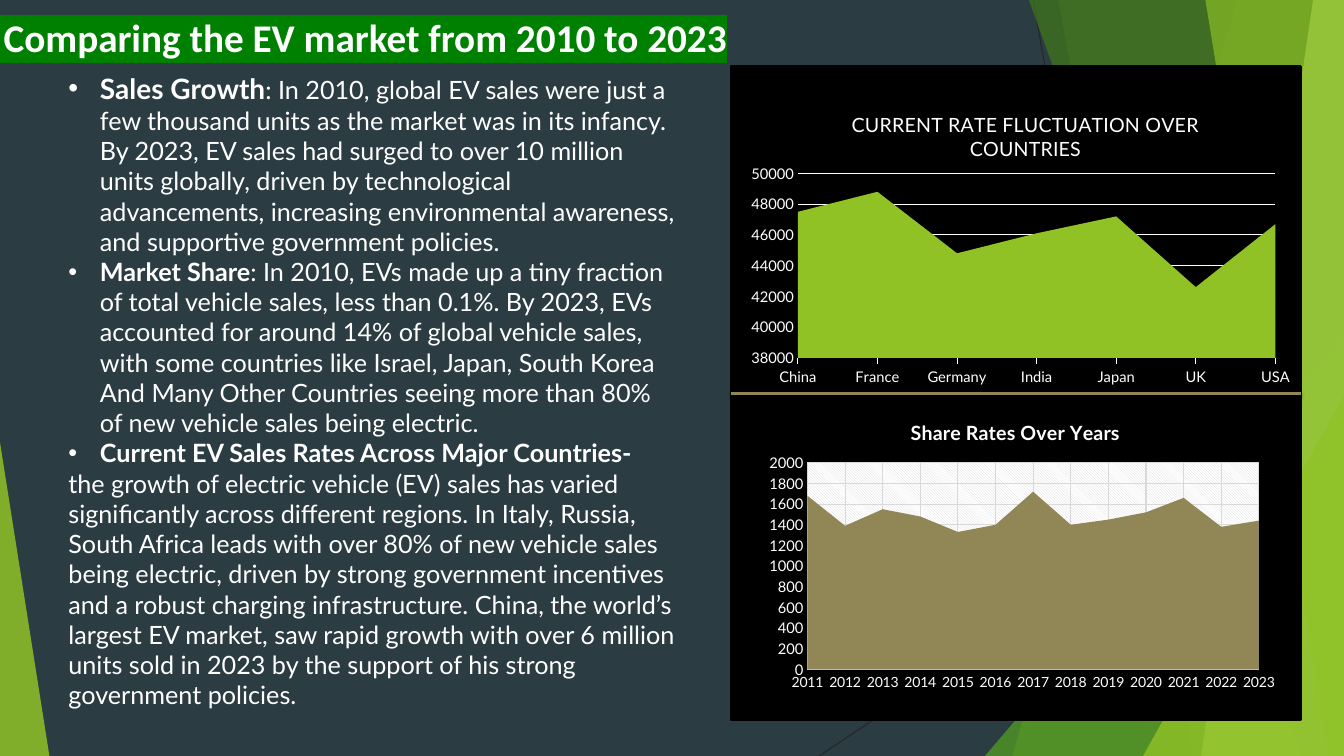
from dataclasses import dataclass

from pptx import Presentation
from pptx.chart.data import CategoryChartData
from pptx.dml.color import RGBColor
from pptx.enum.chart import XL_CHART_TYPE, XL_TICK_MARK
from pptx.enum.shapes import MSO_CONNECTOR, MSO_SHAPE
from pptx.oxml import parse_xml
from pptx.oxml.ns import nsdecls
from pptx.util import Pt

AREA_STACKED = XL_CHART_TYPE.AREA_STACKED
TICK_NONE, TICK_OUT = XL_TICK_MARK.NONE, XL_TICK_MARK.OUTSIDE
STRAIGHT = MSO_CONNECTOR.STRAIGHT
RECTANGLE, TRIANGLE = MSO_SHAPE.RECTANGLE, MSO_SHAPE.ISOSCELES_TRIANGLE
LEFT_SIDE, RIGHT_SIDE = 1, 3


@dataclass(frozen=True)
class Theme:
    background: str = "2C3C43"
    white: str = "FFFFFF"
    black: str = "000000"
    hairline: str = "262626"
    highlight: str = "008000"
    lime: str = "90C226"
    green: str = "54A021"
    forest: str = "3F7819"
    pale: str = "C0E474"
    khaki: str = "918655"
    grid: str = "D9D9D9"
    heading_font: str = "Calibri"
    body_font: str = "Lato"
    heading: float = 28
    lead: float = 20
    body: float = 18
    chart_title: float = 14
    axis: float = 10.5
    small_axis: float = 10


THEME = Theme()
WIDTH, HEIGHT = 960, 540

# Content
HEADING = " Comparing the EV market from 2010 to 2023"
# (bulleted, bold words, their size, plain words)
POINTS = [
    (True, "Sales Growth", THEME.lead,
     ": In 2010, global EV sales were just a few thousand units as the market was in its "
     "infancy. By 2023, EV sales had surged to over 10 million units globally, driven by "
     "technological advancements, increasing environmental awareness, and supportive "
     "government policies."),
    (True, "Market Share", THEME.body,
     ": In 2010, EVs made up a tiny fraction of total vehicle sales, less than 0.1%. By 2023, "
     "EVs accounted for around 14% of global vehicle sales, with some countries like Israel, "
     "Japan, South Korea And Many Other Countries seeing more than 80% of new vehicle sales "
     "being electric."),
    (True, "Current EV Sales Rates Across Major Countries-", THEME.body, ""),
    (False, "", THEME.body,
     "the growth of electric vehicle (EV) sales has varied significantly across different "
     "regions. In Italy, Russia, South Africa leads with over 80% of new vehicle sales being "
     "electric, driven by strong government incentives and a robust charging infrastructure. "
     "China, the world’s largest EV market, saw rapid growth with over 6 million units sold in "
     "2023 by the support of his strong government policies."),
]
# Boxes are left, top, width, height; layouts are fractions of the chart
SHARE_RATES = dict(
    title="Share Rates Over Years", bold=True, box=(543, 283.5, 375, 214),
    years=[str(year) for year in range(2011, 2024)],
    rates=[1680, 1390, 1550, 1480, 1330, 1400, 1720, 1400, 1450, 1520, 1660, 1380, 1440],
    scale=(0, 2000, 200), color=THEME.khaki, line=THEME.grid, cat_size=THEME.small_axis,
    tick=TICK_NONE, title_at=(0.28, 0.06), plot_at=(0.09, 0.22, 0.86, 0.69), hatched=True)
COUNTRY_RATES = dict(
    title="CURRENT RATE FLUCTUATION OVER COUNTRIES", bold=False, box=(530, 63.4, 399, 216),
    years=["China", "France", "Germany", "India", "Japan", "UK", "USA"],
    rates=[47500, 48800, 44800, 46100, 47200, 42600, 46700],
    scale=(38000, 50000, 2000), color=THEME.lime, line=THEME.white, cat_size=THEME.axis,
    tick=TICK_OUT, title_at=(0.19, 0.06), plot_at=(0.1, 0.28, 0.855, 0.61), hatched=False)

# Backdrop: bands run from a top x to a bottom x and fill to the right edge
HAIRLINES = [(738, 0, 834, 540), (960, 290, 585, 540)]
BACKDROP = [
    ("band", (884, 723), THEME.lime, 30),
    ("band", (756, 852), THEME.lime, 20),
    ("right triangle", (703.5, 240, 256.5, 300), THEME.green, 72),
    ("band", (735, 929.5), THEME.forest, 70),
    ("band", (938, 858), THEME.pale, 70),
    ("band", (861, 949), THEME.lime, 65),
    ("right triangle", (816.5, 283, 143.5, 257), THEME.lime, 80),
    ("left triangle", (0, 316, 35.3, 224), THEME.lime, 85),
]

deck = Presentation()
deck.slide_width, deck.slide_height = Pt(WIDTH), Pt(HEIGHT)
slide = deck.slides.add_slide(deck.slide_layouts[6])
slide.background.fill.solid()
slide.background.fill.fore_color.rgb = RGBColor.from_string(THEME.background)


def pts(values):
    return [Pt(value) for value in values]


def paint(fill, color, opacity=100):
    fill.solid()
    fill.fore_color.rgb = RGBColor.from_string(color)
    if opacity < 100:
        tint = fill._xPr.find(".//{*}srgbClr")
        tint.append(parse_xml(f'<a:alpha {nsdecls("a")} val="{opacity * 1000}"/>'))


def stroke(line, color, weight=0.75):
    paint(line.fill, color)
    line.width = Pt(weight)


def style(font, size, color=THEME.white, name=THEME.body_font, bold=False):
    font.size, font.name, font.bold = Pt(size), name, bold
    font.color.rgb = RGBColor.from_string(color)


def write(paragraph, text, highlight=None, **look):
    run = paragraph.add_run()
    run.text = text
    style(run.font, **look)
    if highlight:
        run.font.fill._xPr.find("{*}solidFill").addnext(parse_xml(
            f'<a:highlight {nsdecls("a")}><a:srgbClr val="{highlight}"/></a:highlight>'))


def add_frame(*box):
    frame = slide.shapes.add_textbox(*pts(box)).text_frame
    frame.word_wrap = True
    return frame


def add_line(x1, y1, x2, y2, color, weight=0.75, effect=""):
    line = slide.shapes.add_connector(STRAIGHT, *pts((x1, y1, x2, y2)))
    stroke(line.line, color, weight)
    line._element.spPr.append(parse_xml(f'<a:effectLst {nsdecls("a")}>{effect}</a:effectLst>'))
    return line


def layout(x, y, w=None, h=None):
    inner = '<c:layoutTarget val="inner"/>' if w else ""
    size = f'<c:w val="{w}"/><c:h val="{h}"/>' if w else ""
    return parse_xml(
        f'<c:layout {nsdecls("c")}><c:manualLayout>{inner}<c:xMode val="edge"/>'
        f'<c:yMode val="edge"/><c:x val="{x}"/><c:y val="{y}"/>{size}</c:manualLayout></c:layout>')


def place(element, new_layout, before):
    for old in element.findall("{*}layout"):
        element.remove(old)
    element.insert(before, new_layout)


def add_area_chart(title, bold, box, years, rates, scale, color, line, cat_size, tick,
                   title_at, plot_at, hatched):
    data = CategoryChartData()
    data.categories = years
    data.add_series("Series 1", rates)
    chart = slide.shapes.add_chart(AREA_STACKED, *pts(box), data).chart
    style(chart.font, THEME.small_axis)
    chart.has_legend = False
    chart.has_title = True
    write(chart.chart_title.text_frame.paragraphs[0], title, size=THEME.chart_title, bold=bold)
    place(chart.chart_title._element, layout(*title_at), 1)
    paint(chart.plots[0].series[0].format.fill, color)

    cats, values = chart.category_axis, chart.value_axis
    values.minimum_scale, values.maximum_scale, values.major_unit = scale
    for axis, size, mark in ((cats, cat_size, tick), (values, THEME.axis, TICK_NONE)):
        style(axis.tick_labels.font, size)
        axis.major_tick_mark, axis.minor_tick_mark = mark, TICK_NONE
        stroke(axis.format.line, line)
        axis.has_major_gridlines = hatched or axis is values
        if axis.has_major_gridlines:
            stroke(axis.major_gridlines.format.line, line)
    if not hatched:
        values.format.line.fill.background()
    values._element.find("{*}crossBetween").set("val", "midCat")

    plot_area = chart._chartSpace.find(".//{*}plotArea")
    place(plot_area, layout(*plot_at), 0)
    if hatched:
        plot_area.append(parse_xml(
            f'<c:spPr {nsdecls("c", "a")}><a:pattFill prst="ltDnDiag">'
            f'<a:fgClr><a:srgbClr val="{THEME.grid}"/></a:fgClr>'
            f'<a:bgClr><a:srgbClr val="{THEME.white}"/></a:bgClr></a:pattFill></c:spPr>'))


# Backdrop
for ends in HAIRLINES:
    add_line(*ends, THEME.hairline)
for kind, place_at, color, opacity in BACKDROP:
    if kind == "band":
        top_x, bottom_x = place_at
        outline = slide.shapes.build_freeform(Pt(top_x), 0)
        corners = [(WIDTH, 0), (WIDTH, HEIGHT), (bottom_x, HEIGHT)]
        outline.add_line_segments([pts(corner) for corner in corners], close=True)
        facet = outline.convert_to_shape()
    else:
        facet = slide.shapes.add_shape(TRIANGLE, *pts(place_at))
        facet.adjustments[0] = 1 if kind == "right triangle" else 0
    paint(facet.fill, color, opacity)
    facet.line.fill.background()
    facet.shadow.inherit = False

# Heading and points
write(add_frame(-10.8, 5.8, 635, 41).paragraphs[0], HEADING, highlight=THEME.highlight,
      size=THEME.heading, name=THEME.heading_font, bold=True)
points = add_frame(41.8, 47.5, 448.6, 511)
for index, (bulleted, lead, lead_size, detail) in enumerate(POINTS):
    paragraph = points.add_paragraph() if index else points.paragraphs[0]
    if bulleted:
        props = paragraph._p.get_or_add_pPr()
        props.set("marL", str(Pt(22.5)))
        props.set("indent", str(-Pt(22.5)))
        props.append(parse_xml(f'<a:buFont {nsdecls("a")} typeface="Arial"/>'))
        props.append(parse_xml(f'<a:buChar {nsdecls("a")} char="•"/>'))
    if lead:
        write(paragraph, lead, size=lead_size, bold=True)
    if detail:
        write(paragraph, detail, size=THEME.body)

# Chart panel with its divider
panel = slide.shapes.add_shape(RECTANGLE, *pts((522, 47.5, 407, 467)))
paint(panel.fill, THEME.black)
stroke(panel.line, THEME.black, 1.5)
panel.shadow.inherit = False
divider = add_line(
    522, 281, 929, 281, THEME.khaki, 2,
    f'<a:outerShdw blurRad="{Pt(3)}" dist="{Pt(2)}" dir="5400000"><a:srgbClr '
    f'val="{THEME.black}"><a:alpha val="35000"/></a:srgbClr></a:outerShdw>')
divider.begin_connect(panel, LEFT_SIDE)
divider.end_connect(panel, RIGHT_SIDE)

# Charts
for chart_content in (SHARE_RATES, COUNTRY_RATES):
    add_area_chart(**chart_content)

deck.save("out.pptx")
